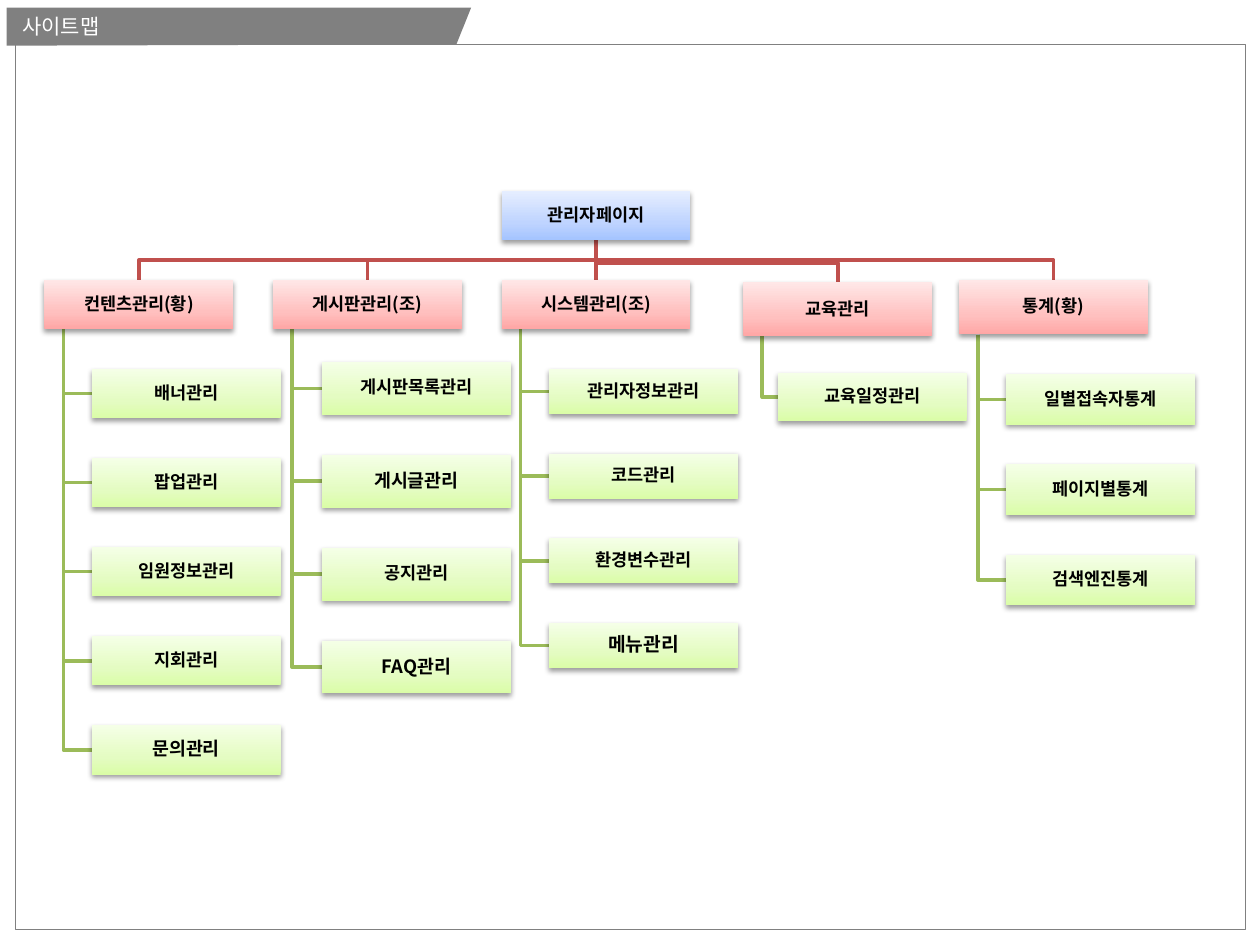
from dataclasses import dataclass, field

from lxml import etree
from pptx import Presentation
from pptx.dml.color import RGBColor
from pptx.enum.shapes import MSO_CONNECTOR, MSO_SHAPE
from pptx.enum.text import MSO_ANCHOR, PP_ALIGN
from pptx.oxml import parse_xml
from pptx.oxml.ns import nsdecls, qn
from pptx.util import Pt

RECTANGLE = MSO_SHAPE.RECTANGLE
STRAIGHT = MSO_CONNECTOR.STRAIGHT
MIDDLE = MSO_ANCHOR.MIDDLE
CENTER = PP_ALIGN.CENTER
LEFT = PP_ALIGN.LEFT


@dataclass(frozen=True)
class Theme:
    font: str = "Noto Sans CJK KR"
    gray: str = "808080"
    white: str = "FFFFFF"
    black: str = "000000"
    red_line: str = "C0504D"
    green_line: str = "9BBB59"
    blue: tuple = ("A4C4FF", "BFD4FF", "E6EEFF")
    red: tuple = ("FFA6A5", "FFC0BF", "FFE7E7")
    green: tuple = ("DAFDA7", "E4FCC2", "F5FFE7")
    title_size: float = 12
    label_size: float = 10
    frame_width: float = 0.25
    branch_width: float = 2
    special_sizes: dict = field(default_factory=lambda: {
        "문의관리": 10.5, "게시글관리": 10.5, "FAQ관리": 10.5, "메뉴관리": 11})


@dataclass(frozen=True)
class Section:
    label: str
    left: float
    top: float
    height: float
    bus: float
    item_left: float
    item_top: float
    item_step: float
    item_height: float
    items: tuple

    def item_tops(self):
        return [self.item_top + index * self.item_step for index in range(len(self.items))]


NODE_WIDTH = 108
SPINE_INSET = 10.8
ROOT_LABEL = "관리자페이지"
ROOT_LEFT, ROOT_TOP, ROOT_HEIGHT = 286.6, 109, 28.2

SECTIONS = (
    Section("컨텐츠관리(황)", 25.4, 159.9, 28.2, 148.5, 52.4, 210.8, 50.9, 28.2,
            ("배너관리", "팝업관리", "임원정보관리", "지회관리", "문의관리")),
    Section("게시판관리(조)", 156, 159.9, 28.2, 148.5, 184, 206.8, 53.1, 30.2,
            ("게시판목록관리", "게시글관리", "공지관리", "FAQ관리")),
    Section("시스템관리(조)", 286.6, 159.9, 28.2, 148.5, 313.8, 210.8, 48.4, 25.7,
            ("관리자정보관리", "코드관리", "환경변수관리", "메뉴관리")),
    Section("교육관리", 424.8, 161.4, 30.7, 150.3, 444.4, 213.2, 0, 27.4,
            ("교육일정관리",)),
    Section("통계(황)", 548, 159.9, 31.3, 148.5, 575, 213.8, 51.6, 28.9,
            ("일별접속자통계", "페이지별통계", "검색엔진통계")),
)


class SitemapPage:
    def __init__(self, page, theme):
        self.page = page
        self.theme = theme

    def color(self, value):
        return RGBColor.from_string(value)

    def label(self, box, text, size, color, bold, align):
        frame = box.text_frame
        frame.word_wrap = True
        frame.vertical_anchor = MIDDLE
        frame.text = text
        para = frame.paragraphs[0]
        para.alignment = align
        span = para.runs[0]
        span.font.size = Pt(size)
        span.font.bold = bold
        span.font.color.rgb = self.color(color)
        span.font.name = self.theme.font
        east_asian = etree.SubElement(span.font._element, qn("a:ea"))
        east_asian.set("typeface", self.theme.font)
        return para

    def frame(self, left, top, width, height):
        box = self.page.shapes.add_shape(RECTANGLE, Pt(left), Pt(top), Pt(width), Pt(height))
        box.shadow.inherit = False
        box.fill.background()
        box.line.color.rgb = self.color(self.theme.gray)
        box.line.width = Pt(self.theme.frame_width)

    def outline(self, points, closed):
        start, *rest = [(Pt(x), Pt(y)) for x, y in points]
        builder = self.page.shapes.build_freeform(*start)
        builder.add_line_segments(rest, close=closed)
        shape = builder.convert_to_shape()
        shape.shadow.inherit = False
        return shape

    def banner(self, points):
        shape = self.outline(points, True)
        shape.fill.solid()
        shape.fill.fore_color.rgb = self.color(self.theme.gray)
        shape.line.fill.background()

    def title(self, text, left, top, width, height):
        box = self.page.shapes.add_textbox(Pt(left), Pt(top), Pt(width), Pt(height))
        self.label(box, text, self.theme.title_size, self.theme.white, False, LEFT)

    def branch(self, points, color):
        if len({x for x, _ in points}) == 1:
            ends = [Pt(value) for point in (points[0], points[-1]) for value in point]
            line = self.page.shapes.add_connector(STRAIGHT, *ends)
            etree.SubElement(line._element.spPr, qn("a:effectLst"))
        else:
            line = self.outline(points, False)
            line.fill.background()
        line.line.color.rgb = self.color(color)
        line.line.width = Pt(self.theme.branch_width)

    def node(self, text, left, top, height, colors):
        box = self.page.shapes.add_shape(
            RECTANGLE, Pt(left), Pt(top), Pt(NODE_WIDTH), Pt(height))
        box.line.fill.background()
        box.shadow.inherit = False
        properties = box._element.spPr
        stops = "".join(
            f'<a:gs pos="{position}"><a:srgbClr val="{color}"/></a:gs>'
            for position, color in zip((0, 35000, 100000), colors))
        properties.find(qn("a:prstGeom")).addnext(parse_xml(
            f'<a:gradFill {nsdecls("a")} rotWithShape="1"><a:gsLst>{stops}</a:gsLst>'
            '<a:lin ang="16200000" scaled="0"/></a:gradFill>'))
        properties.find(qn("a:effectLst")).append(parse_xml(
            f'<a:outerShdw {nsdecls("a")} blurRad="{Pt(3.1)}" dist="{Pt(1.6)}" '
            f'dir="5400000" rotWithShape="0"><a:srgbClr val="{self.theme.black}">'
            '<a:alpha val="38000"/></a:srgbClr></a:outerShdw>'))
        frame = box.text_frame
        frame.margin_left = frame.margin_right = Pt(0.7)
        frame.margin_top = frame.margin_bottom = Pt(0.7)
        size = self.theme.special_sizes.get(text, self.theme.label_size)
        para = self.label(box, text, size, self.theme.black, True, CENTER)
        para.line_spacing = 0.9
        para.space_after = Pt(3.5)


def main():
    deck = Presentation()
    deck.slide_width, deck.slide_height = Pt(720), Pt(540)
    theme = Theme()
    sitemap = SitemapPage(deck.slides.add_slide(deck.slide_layouts[6]), theme)

    sitemap.frame(8.8, 25.4, 702.8, 505.6)
    sitemap.banner([(3.8, 4.4), (269.2, 4.4), (260.8, 25.4), (3.8, 26.1)])
    sitemap.title("사이트맵", 5.6, 3.8, 215, 21.8)

    root_center = ROOT_LEFT + NODE_WIDTH / 2
    root_bottom = ROOT_TOP + ROOT_HEIGHT
    for section in reversed(SECTIONS):
        spine = section.left + SPINE_INSET
        for top in reversed(section.item_tops()):
            middle = top + section.item_height / 2
            sitemap.branch([(spine, section.top + section.height), (spine, middle),
                            (section.item_left, middle)], theme.green_line)
        center = section.left + NODE_WIDTH / 2
        sitemap.branch([(root_center, root_bottom), (root_center, section.bus),
                        (center, section.bus), (center, section.top)], theme.red_line)

    sitemap.node(ROOT_LABEL, ROOT_LEFT, ROOT_TOP, ROOT_HEIGHT, theme.blue)
    for section in SECTIONS:
        sitemap.node(section.label, section.left, section.top, section.height, theme.red)
        for label, top in zip(section.items, section.item_tops()):
            sitemap.node(label, section.item_left, top, section.item_height, theme.green)

    deck.save("out.pptx")


if __name__ == "__main__":
    main()
